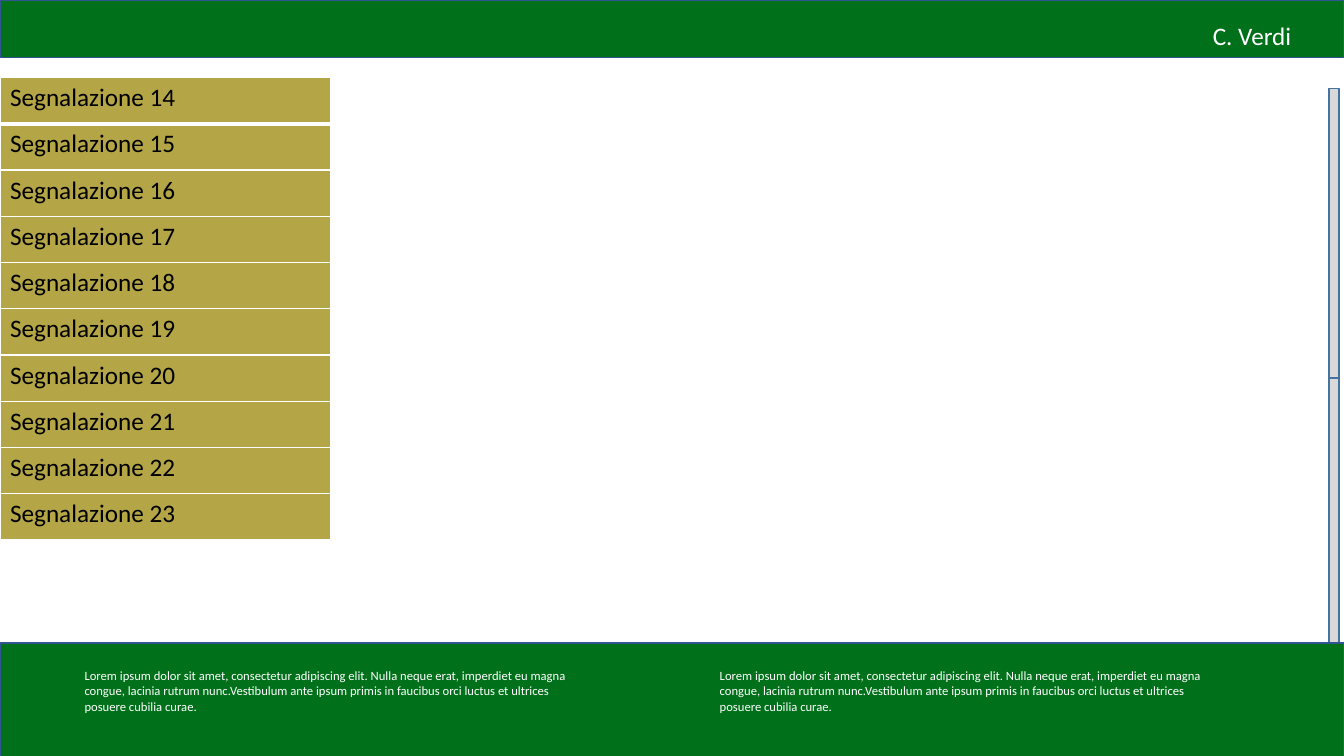
from lxml.etree import SubElement
from pptx import Presentation
from pptx.dml.color import RGBColor
from pptx.enum.shapes import MSO_SHAPE
from pptx.oxml.ns import qn
from pptx.util import Inches, Pt

# Content
USER_NAME = "C. Verdi"
REPORTS = [f"Segnalazione {number}" for number in range(14, 24)]
FOOTER_NOTE = (
    "Lorem ipsum dolor sit amet, consectetur adipiscing elit. Nulla neque erat, "
    "imperdiet eu magna congue, lacinia rutrum nunc.Vestibulum ante ipsum primis in "
    "faucibus orci luctus et ultrices posuere cubilia curae."
)

# Style
FONT = "Calibri"
GREEN = RGBColor(0x00, 0x70, 0x1A)
BAND_EDGE = RGBColor(0x32, 0x54, 0x91)
GREY = RGBColor(0xD9, 0xD9, 0xD9)
SCROLL_EDGE = RGBColor(0x43, 0x73, 0x9E)
OCHRE = RGBColor(0xB4, 0xA6, 0x47)
WHITE = RGBColor(0xFF, 0xFF, 0xFF)
BLACK = RGBColor(0x00, 0x00, 0x00)

# Layout in inches
SLIDE_W, SLIDE_H = 13.33, 7.5
HEADER_H = 0.57
FOOTER_TOP, FOOTER_H = 6.38, 1.14
SCROLL_LEFT, SCROLL_TOP, SCROLL_W, SCROLL_H = 13.18, 0.88, 0.1, 2.87
LIST_TOP, LIST_W, ROW_H = 0.77, 3.28, 0.459
NOTE_LEFT, NOTE_TOP, NOTE_W, NOTE_H, NOTE_STEP = 0.74, 6.58, 5.03, 0.56, 6.3


def box(left, top, width, height):
    return [Inches(length) for length in (left, top, width, height)]


def add_block(slide, area, fill, edge):
    block = slide.shapes.add_shape(MSO_SHAPE.RECTANGLE, *box(*area))
    block.shadow.inherit = False
    block.fill.solid()
    block.fill.fore_color.rgb = fill
    block.line.color.rgb = edge
    block.line.width = Pt(1)


def set_text(frame, text, size, color):
    frame.text = text
    font = frame.paragraphs[0].runs[0].font
    font.name, font.size = FONT, Pt(size)
    font.color.rgb = color


def add_label(slide, area, text, size):
    frame = slide.shapes.add_textbox(*box(*area)).text_frame
    frame.word_wrap = True
    set_text(frame, text, size, WHITE)


def set_borders(cell, top, bottom):
    properties = cell._tc.get_or_add_tcPr()
    for side, width in (("L", 1), ("R", 1), ("T", top), ("B", bottom)):
        border = SubElement(properties, qn(f"a:ln{side}"), w=str(Pt(width)))
        SubElement(SubElement(border, qn("a:solidFill")), qn("a:srgbClr"), val=str(WHITE))


def add_report_list(slide):
    area = box(0, LIST_TOP, LIST_W, ROW_H * len(REPORTS))
    reports = slide.shapes.add_table(len(REPORTS), 1, *area).table
    for index, report in enumerate(REPORTS):
        reports.rows[index].height = Inches(ROW_H)
        cell = reports.cell(index, 0)
        # A thick rule separates the first row from the rest
        set_borders(cell, 3 if index == 1 else 1, 3 if index == 0 else 1)
        cell.fill.solid()
        cell.fill.fore_color.rgb = OCHRE
        set_text(cell.text_frame, report, 18, BLACK)
        cell.text_frame.paragraphs[0].runs[0].font.bold = False


def main():
    deck = Presentation()
    deck.slide_width, deck.slide_height = Inches(SLIDE_W), Inches(SLIDE_H)
    slide = deck.slides.add_slide(deck.slide_layouts[6])

    # Header band, scroll bar and user name
    add_block(slide, (0, 0, SLIDE_W, HEADER_H), GREEN, BAND_EDGE)
    for part in range(2):
        top = SCROLL_TOP + part * SCROLL_H
        add_block(slide, (SCROLL_LEFT, top, SCROLL_W, SCROLL_H), GREY, SCROLL_EDGE)
    add_label(slide, (11.93, 0.15, 1.05, 0.4), USER_NAME, 18)

    # List of reports
    add_report_list(slide)

    # Footer band with two notes
    add_block(slide, (0, FOOTER_TOP, SLIDE_W, FOOTER_H), GREEN, BAND_EDGE)
    for column in range(2):
        left = NOTE_LEFT + column * NOTE_STEP
        add_label(slide, (left, NOTE_TOP, NOTE_W, NOTE_H), FOOTER_NOTE, 9)

    deck.save("out.pptx")


if __name__ == "__main__":
    main()
